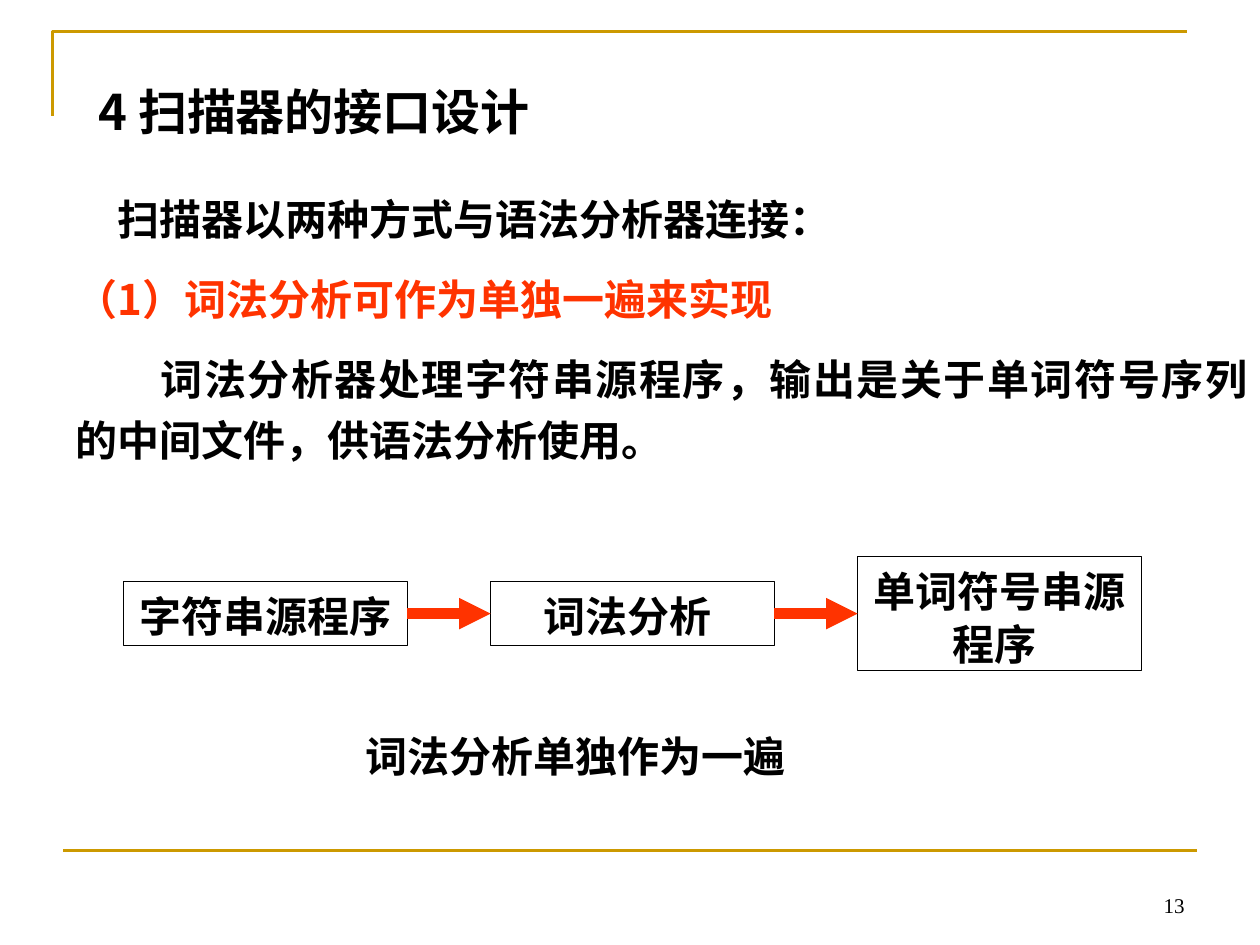
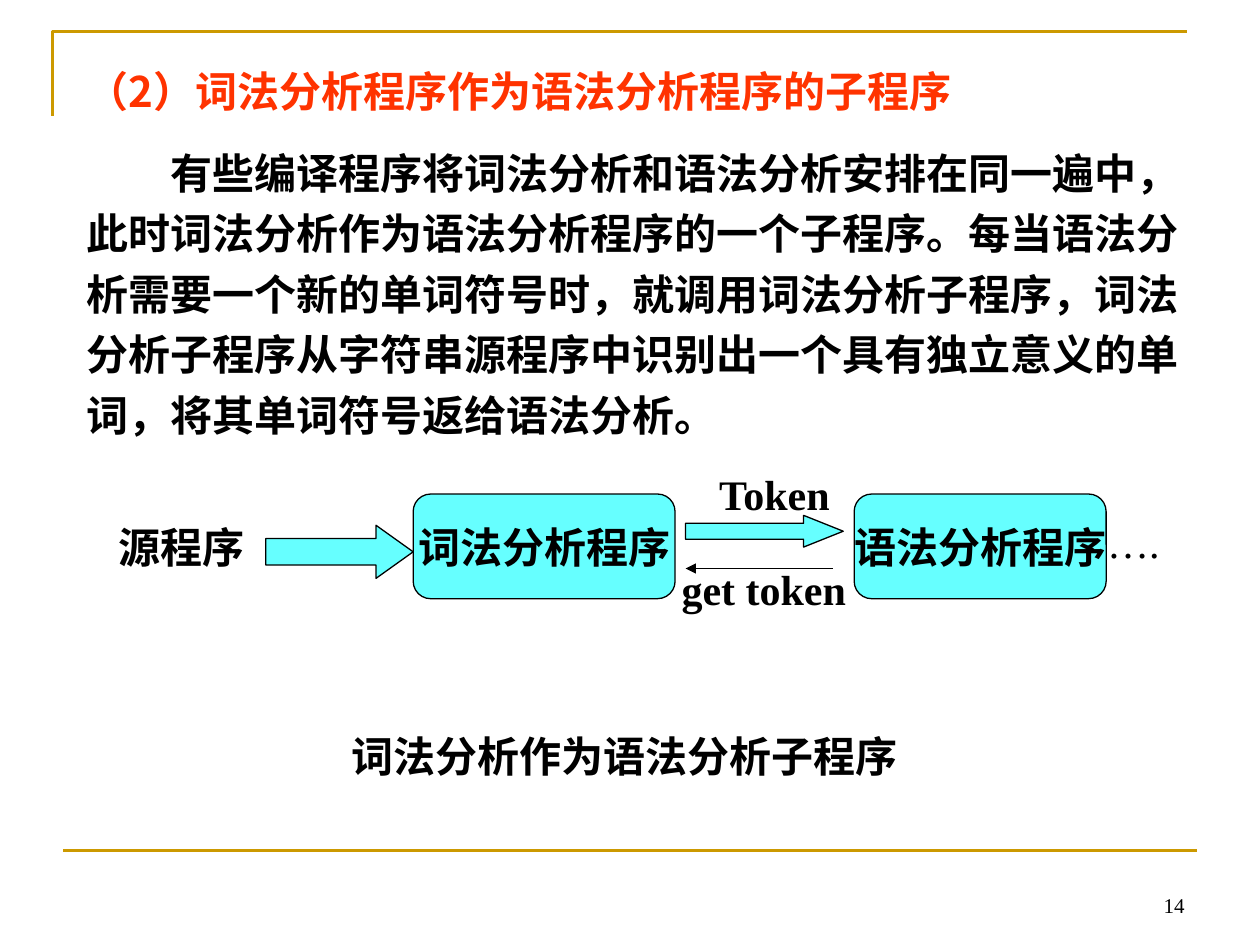
from dataclasses import dataclass
from typing import Optional

from lxml.etree import SubElement as Sub
from pptx import Presentation as Deck
from pptx.dml.color import RGBColor as Rgb
from pptx.enum.shapes import MSO_CONNECTOR as Link, MSO_SHAPE as Kind
from pptx.enum.text import MSO_ANCHOR as Anchor, PP_ALIGN as Align
from pptx.oxml.ns import qn
from pptx.util import Cm, Pt

INK = {
    "black": "000000",
    "white": "FFFFFF",
    "gold": "CC9900",
    "red": "FF3300",
    "cyan": "66FFFF",
}
SANS = "Noto Sans CJK SC"
SERIF = "Times New Roman"


@dataclass(frozen=True)
class Area:
    left: float
    top: float
    width: float
    height: float

    def lengths(self) -> list:
        return [Cm(v) for v in (self.left, self.top, self.width, self.height)]


@dataclass(frozen=True)
class Para:
    text: str
    size: float = 24
    ink: str = "black"
    face: str = SANS
    bold: bool = True
    align: Align = Align.LEFT
    pitch: Optional[float] = None
    before: float = 0
    after: float = 0
    indent: float = 0


@dataclass(frozen=True)
class Node:
    area: Area
    text: str = ""
    kind: Kind = Kind.RECTANGLE
    fill: Optional[str] = None
    line: str = "black"
    adjust: tuple = ()
    anchor: Anchor = Anchor.MIDDLE
    wrap: bool = False
    pitch: Optional[float] = None


def tint(name: str) -> Rgb:
    return Rgb.from_string(INK[name])


def write(frame, paras: list, anchor: Anchor, wrap: bool) -> None:
    frame.word_wrap = wrap
    frame.vertical_anchor = anchor
    frame.text = "\n".join(p.text for p in paras)
    for line, p in zip(frame.paragraphs, paras):
        line.alignment = p.align
        line.space_before, line.space_after = Pt(p.before), Pt(p.after)
        if p.pitch:
            line.line_spacing = Pt(p.pitch)
        if p.indent:
            line._p.get_or_add_pPr().set("indent", str(Cm(p.indent)))
        for run in line.runs:
            font = run.font
            font.name, font.size, font.bold = p.face, Pt(p.size), p.bold
            font.color.rgb = tint(p.ink)
            Sub(run._r.get_or_add_rPr(), qn("a:ea"), typeface=p.face)


def label(slide, area: Area, *paras: Para, anchor: Anchor = Anchor.TOP, wrap: bool = True) -> None:
    box = slide.shapes.add_textbox(*area.lengths())
    write(box.text_frame, paras, anchor, wrap)


def draw(slide, node: Node):
    shape = slide.shapes.add_shape(node.kind, *node.area.lengths())
    shape.shadow.inherit = False
    if node.fill:
        shape.fill.solid()
        shape.fill.fore_color.rgb = tint(node.fill)
    else:
        shape.fill.background()
    shape.line.color.rgb = tint(node.line)
    shape.line.width = Pt(0.75)
    for i, value in enumerate(node.adjust):
        shape.adjustments[i] = value
    if node.text:
        para = Para(node.text, align=Align.CENTER, pitch=node.pitch)
        write(shape.text_frame, [para], node.anchor, node.wrap)
    return shape


def rule(slide, start: tuple, end: tuple, ink: str, width: float, head: bool = False):
    ends = [Cm(v) for v in (*start, *end)]
    line = slide.shapes.add_connector(Link.STRAIGHT, *ends)
    line.line.color.rgb = tint(ink)
    line.line.width = Pt(width)
    if head:
        Sub(line.line._get_or_add_ln(), qn("a:tailEnd"), type="triangle")
    Sub(line._element.spPr, qn("a:effectLst"))
    return line


def base(deck, number: int):
    slide = deck.slides.add_slide(deck.slide_layouts[6])
    pen = slide.shapes.build_freeform(Cm(1.06), Cm(2.33))
    pen.add_line_segments([(Cm(1.06), Cm(0.64)), (Cm(23.92), Cm(0.64))], close=False)
    frame = pen.convert_to_shape()
    frame.shadow.inherit = False
    frame.fill.background()
    frame.line.color.rgb = tint("gold")
    frame.line.width = Pt(1.5)
    rule(slide, (1.27, 17.15), (24.13, 17.15), "gold", 1.5)
    page = Para(str(number), 12, face=SERIF, bold=False, align=Align.RIGHT)
    label(slide, Area(18.21, 17.35, 5.92, 1.27), page, anchor=Anchor.BOTTOM)
    return slide


def single(deck) -> None:
    slide = base(deck, 13)
    label(slide, Area(1.73, 1.32, 23.67, 1.6), Para("4 扫描器的接口设计", 28, pitch=39.4))
    style = dict(align=Align.JUSTIFY, pitch=34.6, before=5, after=6)
    label(
        slide,
        Area(1.27, 3.58, 24.13, 6.1),
        Para("扫描器以两种方式与语法分析器连接：", indent=0.85, **(style | {"before": 0})),
        Para("（1）词法分析可作为单独一遍来实现", ink="red", **style),
        Para("词法分析器处理字符串源程序，输出是关于单词符号序列的中间文件，供语法分析使用。",
             indent=1.72, **style),
    )
    mid, left, step, width = 12.37, 2.49, 7.4, 5.72
    steps = [("字符串源程序 ", 1.3), ("词法分析 ", 1.3), ("单词符号串源程序 ", 2.31)]
    boxes = [
        draw(slide, Node(Area(left + i * step, mid - tall / 2, width, tall), text,
                         anchor=Anchor.TOP, wrap=True, pitch=30.5))
        for i, (text, tall) in enumerate(steps)
    ]
    for i, (prior, after) in enumerate(zip(boxes, boxes[1:])):
        start = left + i * step + width
        arrow = rule(slide, (start, mid), (left + (i + 1) * step, mid), "red", 6, True)
        arrow.begin_connect(prior, 3)
        arrow.end_connect(after, 1)
    label(slide, Area(7.11, 14.53, 11, 1.27), Para("词法分析单独作为一遍", pitch=31))


def nested(deck) -> None:
    slide = base(deck, 14)
    label(
        slide,
        Area(1.5, 1.12, 23.01, 7.95),
        Para("（2）词法分析程序作为语法分析程序的子程序", ink="red", pitch=31),
        Para("有些编译程序将词法分析和语法分析安排在同一遍中，此时词法分析作为语法分析程序的一个子程序。"
             "每当语法分析需要一个新的单词符号时，就调用词法分析子程序，"
             "词法分析子程序从字符串源程序中识别出一个具有独立意义的单词，将其单词符号返给语法分析。",
             pitch=34.6, before=12, indent=1.69),
    )
    label(slide, Area(6.83, 14.53, 14.5, 1.27), Para("词法分析作为语法分析子程序", pitch=31))
    for left, width, text, fill, line in [
        (2.18, 2.97, "源程序", "white", "white"),
        (8.33, 5.28, "词法分析程序", "cyan", "black"),
        (17.22, 5.08, "语法分析程序", "cyan", "black"),
    ]:
        draw(slide, Node(Area(left, 9.96, width, 2.11), text, Kind.ROUNDED_RECTANGLE,
                         fill, line, (0.167,)))
    for area, tip in [
        (Area(5.36, 10.59, 2.97, 1.07), 0.7),
        (Area(13.82, 10.39, 3.18, 0.64), 1.25),
    ]:
        draw(slide, Node(area, kind=Kind.RIGHT_ARROW, fill="cyan", adjust=(0.5, tip)))
    rule(slide, (16.79, 11.46), (13.82, 11.46), "black", 0.75, True)
    for area, text, bold in [
        (Area(14.25, 9.32, 2.82, 1.27), "Token", True),
        (Area(13.49, 11.23, 3.84, 1.27), "get token", True),
        (Area(22.07, 10.29, 1.57, 1.27), "….", False),
    ]:
        label(slide, area, Para(text, face=SERIF, bold=bold), wrap=False)


def main() -> None:
    deck = Deck()
    deck.slide_width, deck.slide_height = Cm(25.4), Cm(19.05)
    single(deck)
    nested(deck)
    deck.save("out.pptx")


if __name__ == "__main__":
    main()
